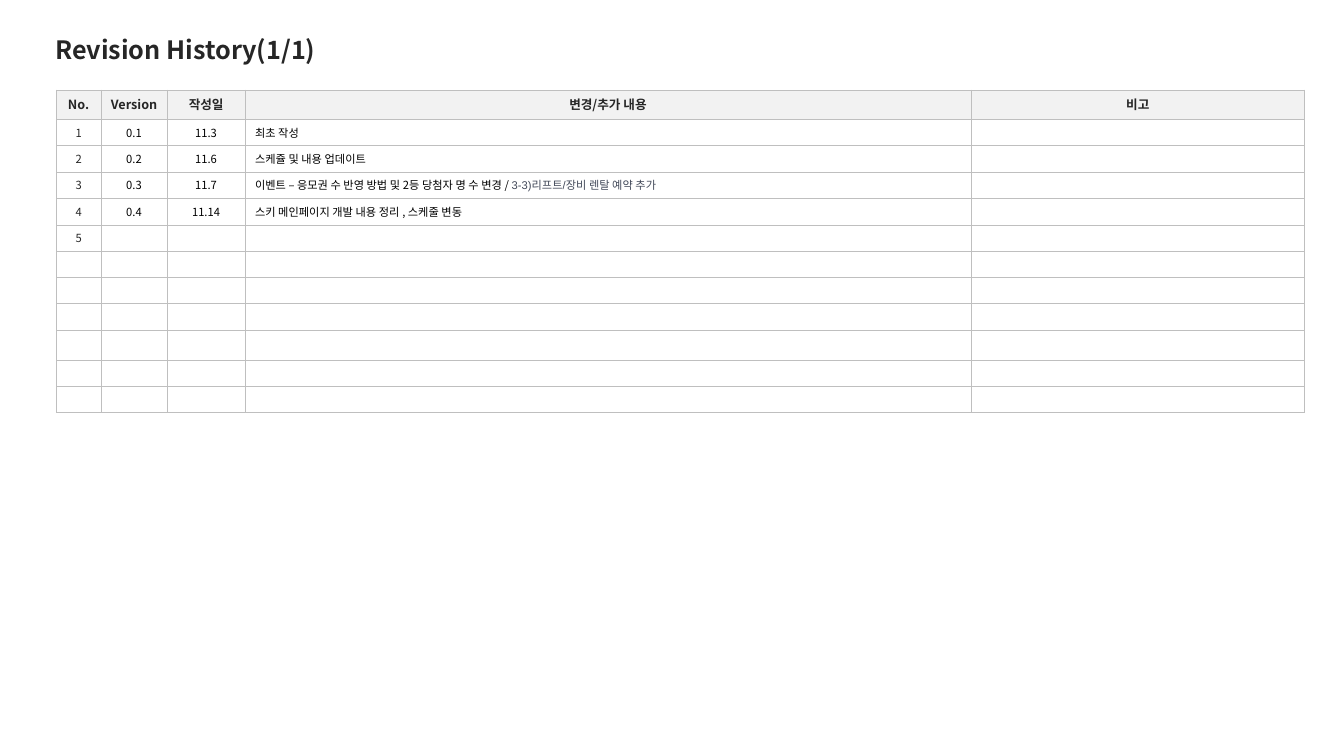
from lxml import etree
from pptx import Presentation
from pptx import util as u
from pptx.dml.color import RGBColor
from pptx.enum import text
from pptx.oxml import ns

DARK = RGBColor(0x26, 0x26, 0x26)
BLACK = RGBColor(0, 0, 0)
SLATE = RGBColor(0x43, 0x4A, 0x5A)
PALE = RGBColor(0xF2, 0xF2, 0xF2)
GRID = "BFBFBF"
SANS = "Noto Sans CJK KR"


def style(run, size, color, bold=False, face=SANS):
    font = run.font
    font.size, font.bold, font.name = u.Pt(size), bold, face
    font.color.rgb = color
    east = etree.SubElement(run._r.get_or_add_rPr(), ns.qn("a:ea"))
    east.set("typeface", SANS)


def border(cell):
    props = cell._tc.get_or_add_tcPr()
    for spot, side in enumerate(("lnL", "lnR", "lnT", "lnB")):
        line = etree.Element(ns.qn("a:" + side), w=str(u.Pt(0.25)))
        fill = etree.SubElement(line, ns.qn("a:solidFill"))
        etree.SubElement(fill, ns.qn("a:srgbClr"), val=GRID)
        props.insert(spot, line)


prs = Presentation()
prs.slide_width, prs.slide_height = u.Inches(13.33), u.Inches(7.5)
slide = prs.slides.add_slide(prs.slide_layouts[6])

widths = [0.44, 0.66, 0.77, 7.2, 3.31]
heights = [0.29] + [0.26] * 8 + [0.3] + [0.26] * 2
rows = [
    ["No.", "Version", "작성일", "변경/추가 내용", "비고"],
    ["1", "0.1", "11.3", "최초 작성"],
    ["2", "0.2", "11.6", "스케쥴 및 내용 업데이트"],
    ["3", "0.3", "11.7", "이벤트 – 응모권 수 반영 방법 및 2등 당첨자 명 수 변경 / "],
    ["4", "0.4", "11.14", "스키 메인페이지 개발 내용 정리 , 스케줄 변동"],
    ["5"],
]

frame = slide.shapes.add_table(
    len(heights), len(widths), u.Inches(0.56), u.Inches(0.89),
    u.Inches(sum(widths)), u.Inches(sum(heights)))
table = frame.table
table.horz_banding = False
for col, width in zip(table.columns, widths):
    col.width = u.Inches(width)
for row, height in zip(table.rows, heights):
    row.height = u.Inches(height)

for r in range(len(heights)):
    for c in range(len(widths)):
        cell = table.cell(r, c)
        cell.vertical_anchor = text.MSO_ANCHOR.MIDDLE
        head = r == 0
        if head:
            cell.fill.solid()
            cell.fill.fore_color.rgb = PALE
        else:
            cell.fill.background()
        border(cell)
        para = cell.text_frame.paragraphs[0]
        if head or c < 3:
            para.alignment = text.PP_ALIGN.CENTER
        if r < len(rows) and c < len(rows[r]):
            para.text = rows[r][c]
            style(para.runs[0], 9 if head else 8,
                  DARK if head or c == 0 else BLACK, head)
        else:
            etree.SubElement(para._p, ns.qn("a:endParaRPr"), sz="800")

extra = table.cell(3, 3).text_frame.paragraphs[0].add_run()
extra.text = "3-3)리프트/장비 렌탈 예약 추가"
style(extra, 8, SLATE, face="Arial")

title = slide.shapes.add_textbox(
    u.Inches(0.45), u.Inches(0.29), u.Inches(3.73), u.Inches(0.4))
title.text_frame.word_wrap = True
title.text_frame.auto_size = text.MSO_AUTO_SIZE.SHAPE_TO_FIT_TEXT
title.text_frame.text = "Revision History(1/1)"
style(title.text_frame.paragraphs[0].runs[0], 18, DARK, True)

prs.save("out.pptx")
